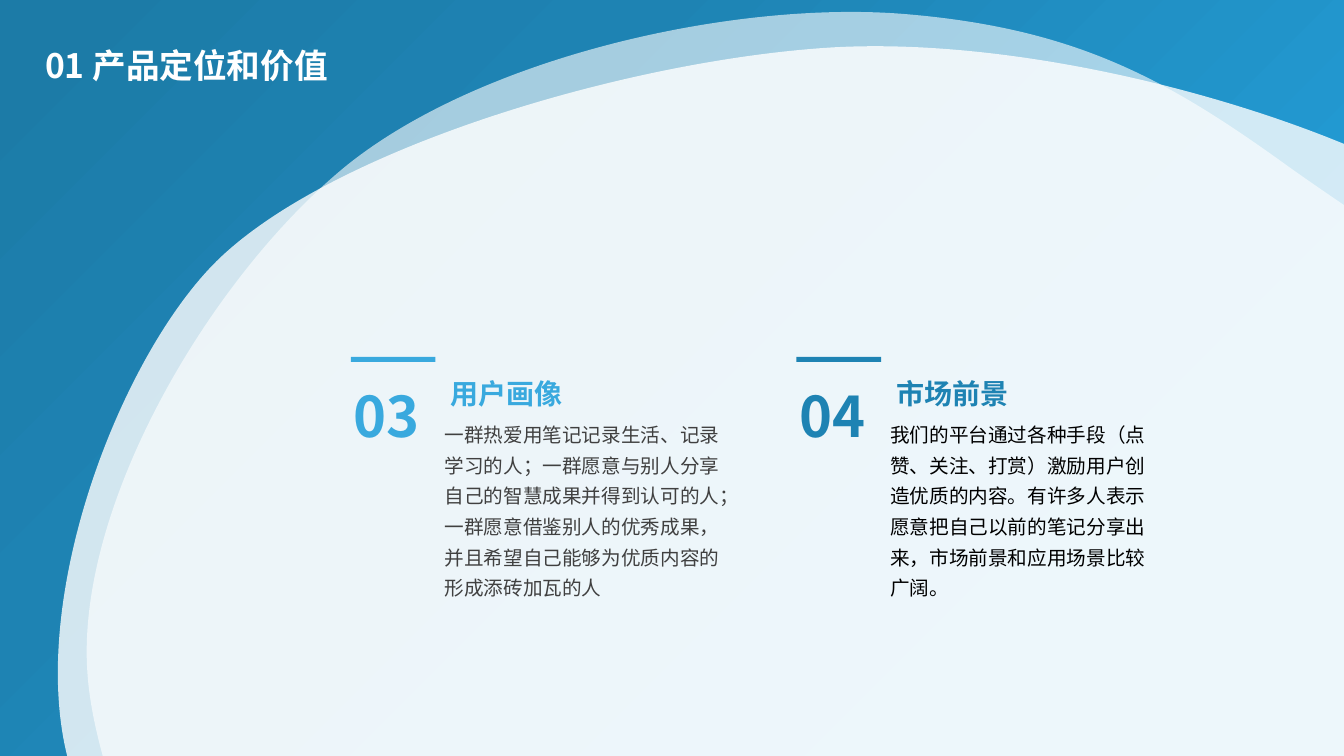
from copy import deepcopy
from dataclasses import dataclass

from lxml import etree
from pptx import Presentation
from pptx.dml.color import RGBColor
from pptx.enum.shapes import MSO_SHAPE
from pptx.enum.text import MSO_ANCHOR, MSO_AUTO_SIZE
from pptx.oxml.ns import qn
from pptx.shapes.autoshape import Shape
from pptx.slide import Slide
from pptx.util import Inches, Pt

RECT = MSO_SHAPE.RECTANGLE
MIDDLE = MSO_ANCHOR.MIDDLE
GROW = MSO_AUTO_SIZE.SHAPE_TO_FIT_TEXT

Point = tuple[float, float]
Box = tuple[float, float, float, float]


@dataclass(frozen=True)
class Theme:
    font: str = "Noto Sans CJK SC"
    white: str = "FFFFFF"
    black: str = "000000"
    gray: str = "404040"
    sky: str = "39A9DE"
    blue: str = "1E83B3"
    glow: str = "239CD5"
    deep: str = "1C7BA7"
    title: int = 24
    number: int = 40
    head: int = 20
    body: int = 14


@dataclass(frozen=True)
class Blob:
    alpha: int
    points: list[Point]


@dataclass(frozen=True)
class Topic:
    number: str
    head: str
    body: str
    color: str
    ink: str
    width: float


THEME = Theme()
WIDTH, HEIGHT = 13.33, 7.5
LEFT, STEP, TOP = 3.48, 4.42, 3.54

STOPS = [(0, THEME.glow), (0.23, THEME.glow), (0.69, THEME.blue), (0.97, THEME.deep)]

BLOBS = [
    Blob(60, [
        (12.72, 1.61),
        (11.55, 0.77), (10.65, 0.28), (8.98, 0.14),
        (7.31, 0), (4.8, 0.55), (3.44, 1.64),
        (2.09, 2.74), (0.73, 5.04), (0.87, 6.71),
        (1, 8.38), (2.89, 12.02), (4.86, 12.92),
        (6.83, 13.81), (12.43, 13.78), (14.29, 12.49),
        (16.15, 11.21), (16.14, 6.87), (16.01, 5.2),
        (15.87, 3.53), (13.89, 2.46), (12.72, 1.61),
    ]),
    Blob(80, [
        (16.53, 4.46),
        (16.12, 3.42), (15.7, 2.72), (14.32, 1.91),
        (12.94, 1.1), (10.29, 0.36), (8.27, 0.47),
        (6.24, 0.59), (3.29, 1.47), (2.15, 2.59),
        (1.02, 3.71), (-0.06, 6.84), (1.02, 8.27),
        (2.09, 9.69), (7.09, 12.09), (9.71, 12.07),
        (12.33, 12.06), (15.6, 9.29), (16.74, 8.17),
        (17.88, 7.05), (16.93, 5.51), (16.53, 4.46),
    ]),
]

TOPICS = [
    Topic(
        "03", "用户画像",
        "一群热爱用笔记记录生活、记录学习的人；一群愿意与别人分享自己的智慧成果并得到认可的人；"
        "一群愿意借鉴别人的优秀成果，并且希望自己能够为优质内容的形成添砖加瓦的人",
        THEME.sky, THEME.gray, 3.02,
    ),
    Topic(
        "04", "市场前景",
        "我们的平台通过各种手段（点赞、关注、打赏）激励用户创造优质的内容。"
        "有许多人表示愿意把自己以前的笔记分享出来，市场前景和应用场景比较广阔。",
        THEME.blue, THEME.black, 2.75,
    ),
]


def paint(shape: Shape, color: str) -> None:
    shape.shadow.inherit = False
    shape.line.fill.background()
    shape.fill.solid()
    shape.fill.fore_color.rgb = RGBColor.from_string(color)


def add_bar(slide: Slide, box: Box, color: str) -> Shape:
    bar = slide.shapes.add_shape(RECT, *map(Inches, box))
    paint(bar, color)
    return bar


def add_back(slide: Slide) -> None:
    fill = add_bar(slide, (0, 0, WIDTH, HEIGHT), THEME.blue).fill
    fill.gradient()
    fill.gradient_angle = 135
    first = fill.gradient_stops[0]._gs
    for _ in range(len(STOPS) - len(fill.gradient_stops)):
        first.addnext(deepcopy(first))
    for stop, (place, color) in zip(fill.gradient_stops, STOPS):
        stop.position = place
        stop.color.rgb = RGBColor.from_string(color)


def add_blob(slide: Slide, blob: Blob) -> None:
    start, *rest = [(Inches(x), Inches(y)) for x, y in blob.points]
    maker = slide.shapes.build_freeform(*start)
    maker.add_line_segments(rest)
    shape = maker.convert_to_shape()
    paint(shape, THEME.white)
    color = next(shape._element.spPr.iter(qn("a:srgbClr")))
    etree.SubElement(color, qn("a:alpha")).set("val", str(blob.alpha * 1000))

    lines = list(shape._element.iter(qn("a:lnTo")))
    for first in range(0, len(lines), 3):
        curve = etree.Element(qn("a:cubicBezTo"))
        lines[first].addprevious(curve)
        for line in lines[first:first + 3]:
            curve.append(line[0])
            line.getparent().remove(line)


def add_text(slide: Slide, box: Box, text: str, size: int, color: str,
             bold: bool = True, wrap: bool = False, space: float = 1.3) -> Shape:
    shape = slide.shapes.add_textbox(*map(Inches, box))
    frame = shape.text_frame
    frame.word_wrap = wrap
    frame.auto_size = GROW
    line = frame.paragraphs[0]
    line.line_spacing = space
    run = line.add_run()
    run.text = text
    font = run.font
    font.name = THEME.font
    font.size = Pt(size)
    font.bold = bold
    font.color.rgb = RGBColor.from_string(color)
    etree.SubElement(font._element, qn("a:ea")).set("typeface", THEME.font)
    return shape


def add_title(slide: Slide, text: str) -> None:
    box = (0.35, 0.28, 5.8, 0.79)
    frame = add_text(slide, box, text, THEME.title, THEME.white,
                     wrap=True, space=0.9).text_frame
    frame.auto_size = MSO_AUTO_SIZE.NONE
    frame.vertical_anchor = MIDDLE
    frame.paragraphs[0].space_before = Pt(10)


def add_topic(slide: Slide, topic: Topic, left: float) -> None:
    add_bar(slide, (left, TOP, 0.84, 0.05), topic.color)
    add_text(slide, (left + 0.83, TOP + 0.54, topic.width, 1.94), topic.body,
             THEME.body, topic.ink, bold=False, wrap=True)
    add_text(slide, (left + 0.89, TOP + 0.05, 1.32, 0.54), topic.head,
             THEME.head, topic.color)
    add_text(slide, (left - 0.07, TOP, 0.89, 0.98), topic.number,
             THEME.number, topic.color)


def main() -> None:
    deck = Presentation()
    deck.slide_width = Inches(WIDTH)
    deck.slide_height = Inches(HEIGHT)
    slide = deck.slides.add_slide(deck.slide_layouts[6])
    add_back(slide)
    for blob in BLOBS:
        add_blob(slide, blob)
    add_title(slide, "01 产品定位和价值")
    for index, topic in enumerate(TOPICS):
        add_topic(slide, topic, LEFT + index * STEP)
    deck.save("out.pptx")


if __name__ == "__main__":
    main()
